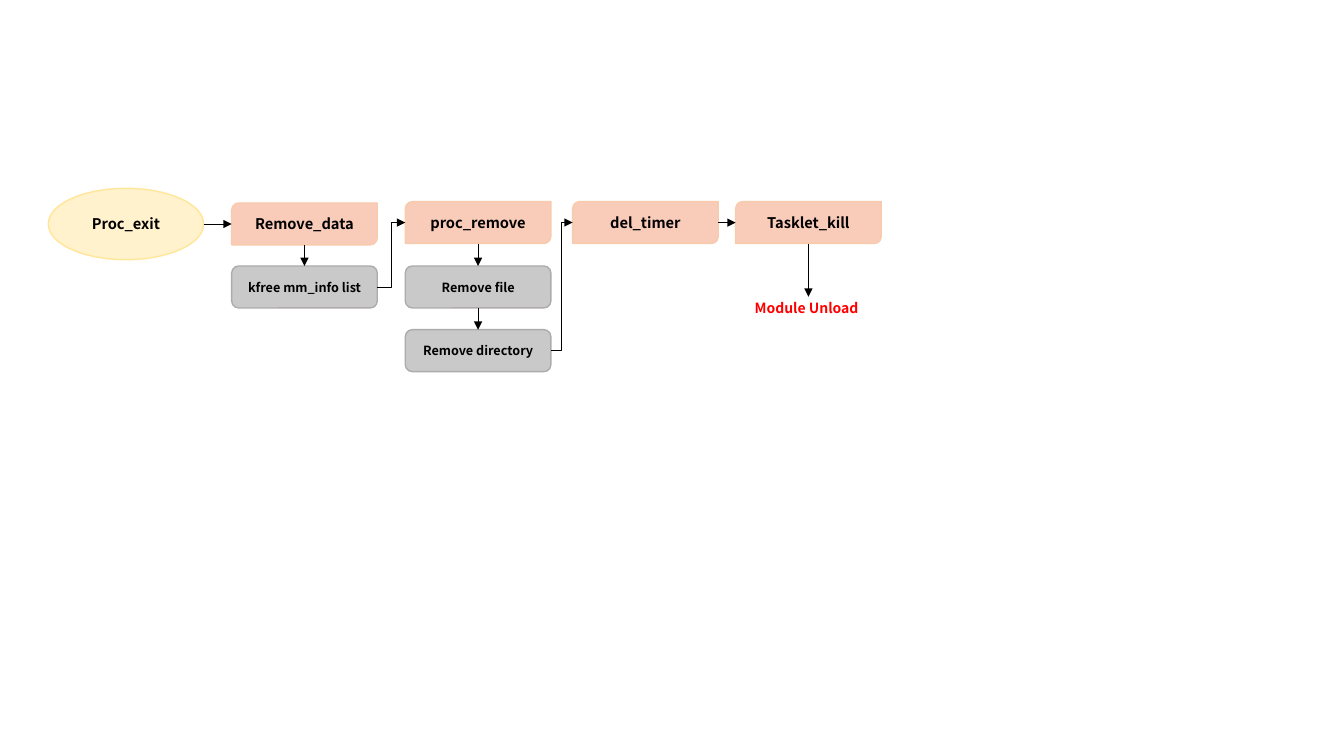
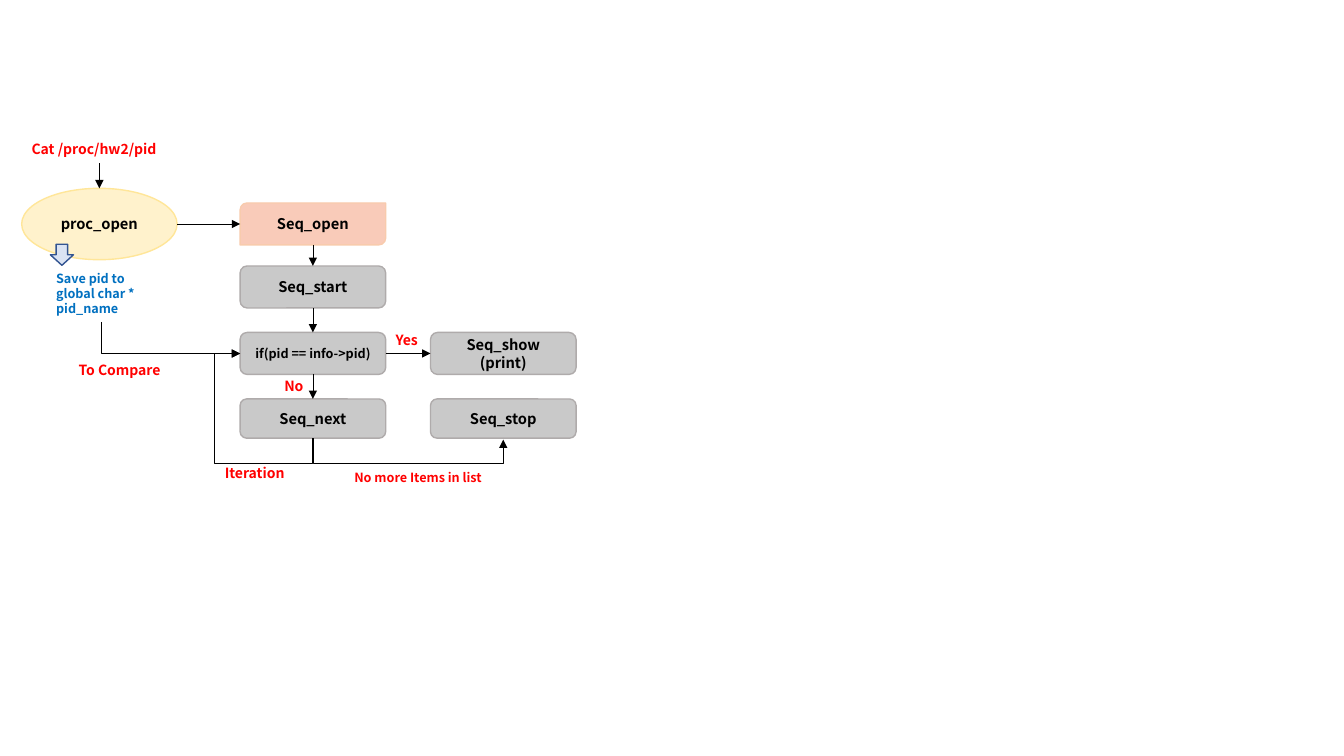
from dataclasses import dataclass
from enum import IntEnum

from lxml import etree
from pptx import Presentation
from pptx.dml.color import RGBColor
from pptx.enum import shapes, text
from pptx.oxml.ns import qn
from pptx.util import Pt

MSO = shapes.MSO_SHAPE
LINK = shapes.MSO_CONNECTOR


@dataclass(frozen=True)
class Theme:
    font: str = "Noto Sans CJK KR"
    ink: str = "000000"
    accent: str = "FF0000"
    note: str = "0070C0"
    start: tuple = ("FFF2CC", "FFE699")
    card: tuple = ("F9CBB9", "F8CBAD")
    step: tuple = ("C9C9C9", "AFABAB")
    pointer: tuple = ("DAE3F3", "325491")
    large: float = 10.5
    medium: float = 10
    small: float = 9


class Side(IntEnum):
    TOP = 0
    LEFT = 1
    BOTTOM = 2
    RIGHT = 3


THEME = Theme()
ACROSS = (Side.RIGHT, Side.LEFT)
DOWN = (Side.BOTTOM, Side.TOP)
NODE_W, NODE_H = 104, 30
START_Y, START_W, START_H = 134.5, 111, 51
# Connection site numbers of each preset, in the order of Side
SITES = {MSO.OVAL: (0, 2, 4, 6), MSO.ROUND_2_DIAG_RECTANGLE: (3, 2, 1, 0)}


def write(sp, words, size, color, align=None):
    tf = sp.text_frame
    tf.word_wrap = True
    tf.text = words
    for p in tf.paragraphs:
        p.alignment = align
        p.font.name = THEME.font
        p.font.size = Pt(size)
        p.font.bold = True
        p.font.color.rgb = RGBColor.from_string(color)


def add_shape(slide, preset, x, y, w, h, colors):
    sp = slide.shapes.add_shape(preset, Pt(x), Pt(y), Pt(w), Pt(h))
    sp.shadow.inherit = False
    fill, line = colors
    sp.fill.solid()
    sp.fill.fore_color.rgb = RGBColor.from_string(fill)
    sp.line.color.rgb = RGBColor.from_string(line)
    sp.line.width = Pt(1)
    return sp


def add_node(slide, preset, words, x, y, w, h, colors, size=THEME.large):
    sp = add_shape(slide, preset, x, y, w, h, colors)
    sp.text_frame.vertical_anchor = text.MSO_ANCHOR.MIDDLE
    write(sp, words, size, THEME.ink, text.PP_ALIGN.CENTER)
    return sp


def add_start(slide, words, x):
    return add_node(slide, MSO.OVAL, words, x, START_Y, START_W, START_H, THEME.start)


def add_card(slide, words, x, y):
    return add_node(slide, MSO.ROUND_2_DIAG_RECTANGLE, words, x, y,
                    NODE_W, NODE_H, THEME.card)


def add_step(slide, words, x, y, size=THEME.large, h=NODE_H):
    return add_node(slide, MSO.ROUNDED_RECTANGLE, words, x, y, NODE_W, h,
                    THEME.step, size)


def add_label(slide, words, x, y, w, h=19.5, size=THEME.medium, color=THEME.accent):
    sp = slide.shapes.add_textbox(Pt(x), Pt(y), Pt(w), Pt(h))
    write(sp, words, size, color)


def side_point(sp, side):
    """Middle of one side of a shape, in points."""
    fx, fy = ((0.5, 0), (0, 0.5), (0.5, 1), (1, 0.5))[side]
    return (sp.left + fx * sp.width) / Pt(1), (sp.top + fy * sp.height) / Pt(1)


def add_arrow(slide, kind, start, end):
    x1, y1, x2, y2 = (Pt(v) for v in (*start, *end))
    c = slide.shapes.add_connector(kind, x1, y1, x2, y2)
    c.line.color.rgb = RGBColor.from_string(THEME.ink)
    c.line.width = Pt(0.5)
    props = c.element.spPr
    etree.SubElement(props.find(qn("a:ln")), qn("a:tailEnd"), type="triangle")
    etree.SubElement(props, qn("a:effectLst"))
    return c


def join(slide, a, b, sides=ACROSS, kind=LINK.STRAIGHT):
    """Arrow from a to b; each is a shape, joined at its side, or a free point."""
    points = [end if isinstance(end, tuple) else side_point(end, side)
              for end, side in zip((a, b), sides)]
    c = add_arrow(slide, kind, *points)
    ends = zip((a, b), sides, (c.begin_connect, c.end_connect), ("a:stCxn", "a:endCxn"))
    for end, side, connect, tag in ends:
        if not isinstance(end, tuple):
            connect(end, side)
            site = SITES.get(end.auto_shape_type, tuple(Side))[side]
            c.element.find(".//" + qn(tag)).set("idx", str(int(site)))


def join_turned(slide, start, end, *bends):
    """Elbow that leaves vertically; bends are fractions of its height and width."""
    (x1, y1), (x2, y2) = start, end
    w, h = abs(y2 - y1), abs(x2 - x1)
    left, top = (x1 + x2 - w) / 2, (y1 + y2 - h) / 2
    c = add_arrow(slide, LINK.ELBOW, (left, top), (left + w, top + h))
    xfrm = c.element.spPr.find(qn("a:xfrm"))
    xfrm.set("rot", str((270 if y2 > y1 else 90) * 60000))
    xfrm.set("flipH", "1")
    geom = c.element.spPr.find(qn("a:prstGeom"))
    geom.set("prst", f"bentConnector{len(bends) + 2}")
    for i, bend in enumerate(bends, 1):
        etree.SubElement(geom.find(qn("a:avLst")), qn("a:gd"),
                         name=f"adj{i}", fmla=f"val {round(bend * 100000)}")


def build_exit_flow(slide):
    remove_x, proc_x, timer_x, kill_x = 165.5, 289.5, 409, 525.5
    card_y, step_y, last_y = 144, 190, 235.5

    start = add_start(slide, "Proc_exit", 34.5)
    remove_data = add_card(slide, "Remove_data", remove_x, card_y + 1)
    proc_remove, del_timer, tasklet_kill = (
        add_card(slide, words, x, card_y) for words, x in
        (("proc_remove", proc_x), ("del_timer", timer_x), ("Tasklet_kill", kill_x)))
    kfree, remove_file, remove_dir = (
        add_step(slide, words, x, y, THEME.small) for words, x, y in
        (("kfree mm_info list", remove_x, step_y),
         ("Remove file", proc_x, step_y),
         ("Remove directory", proc_x, last_y)))
    add_label(slide, "Module Unload", 532, 210.5, 101.5)

    for a, b in ((start, remove_data), (del_timer, tasklet_kill)):
        join(slide, a, b)
    unload = (side_point(tasklet_kill, Side.BOTTOM)[0], 212)
    for a, b in ((remove_data, kfree), (proc_remove, remove_file),
                 (remove_file, remove_dir), (tasklet_kill, unload)):
        join(slide, a, b, DOWN)
    for a, b in ((kfree, proc_remove), (remove_dir, del_timer)):
        join(slide, a, b, kind=LINK.ELBOW)


def build_open_flow(slide):
    main_x, side_x = 171.5, 307.5
    compare_y, next_y, next_h = 237.5, 285, 28
    loop_x, drop = 153.5, 18

    start = add_start(slide, "proc_open", 15.5)
    seq_open = add_card(slide, "Seq_open", main_x, 145)
    seq_start = add_step(slide, "Seq_start", main_x, 190)
    compare = add_step(slide, "if(pid == info->pid)", main_x, compare_y, THEME.small)
    seq_next = add_step(slide, "Seq_next", main_x, next_y, h=next_h)
    seq_show = add_step(slide, "Seq_show\v(print)", side_x, compare_y)
    seq_stop = add_step(slide, "Seq_stop", side_x, next_y, h=next_h)
    add_shape(slide, MSO.DOWN_ARROW, 36, 174.5, 16.5, 15, THEME.pointer)

    for words, x, y, w in (("Cat /proc/hw2/pid", 15.5, 97, 111),
                           ("To Compare", 49, 254.5, 84),
                           ("No", 196, 266, 30.5),
                           ("Iteration", 153.5, 328.5, 61),
                           ("Yes", 275.5, 233.5, 36)):
        add_label(slide, words, x, y, w)
    add_label(slide, "No more Items in list", 246, 332, 114, 18, THEME.small)
    add_label(slide, "Save pid to global char * pid_name", 33, 190, 80, 40,
              THEME.small, THEME.note)

    for a, b in ((start, seq_open), (compare, seq_show)):
        join(slide, a, b)
    command = (side_point(start, Side.TOP)[0], 116.5)
    for a, b in ((command, start), (seq_open, seq_start),
                 (seq_start, compare), (compare, seq_next)):
        join(slide, a, b, DOWN)

    compare_in = side_point(compare, Side.LEFT)
    next_out = side_point(seq_next, Side.BOTTOM)
    stop_x, stop_y = side_point(seq_stop, Side.BOTTOM)
    join_turned(slide, (72.5, 230), compare_in)
    join_turned(slide, next_out, compare_in,
                drop / (compare_in[1] - next_out[1]),
                (loop_x - next_out[0]) / (compare_in[0] - next_out[0]))
    join_turned(slide, (next_out[0] + 0.5, next_out[1]), (stop_x, stop_y + 1), drop)


def main():
    prs = Presentation()
    prs.slide_width, prs.slide_height = Pt(960), Pt(540)
    blank = prs.slide_layouts[6]
    for build in (build_exit_flow, build_open_flow):
        build(prs.slides.add_slide(blank))
    prs.save("out.pptx")


if __name__ == "__main__":
    main()
